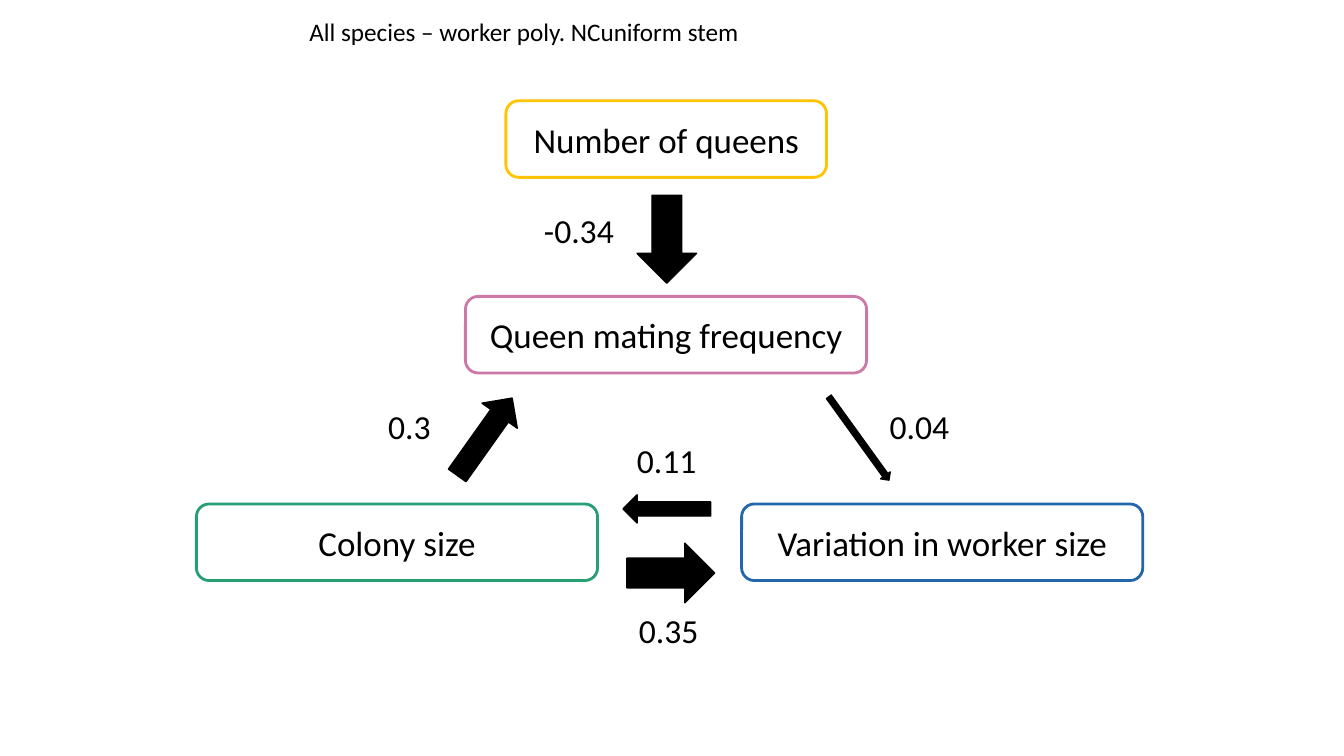
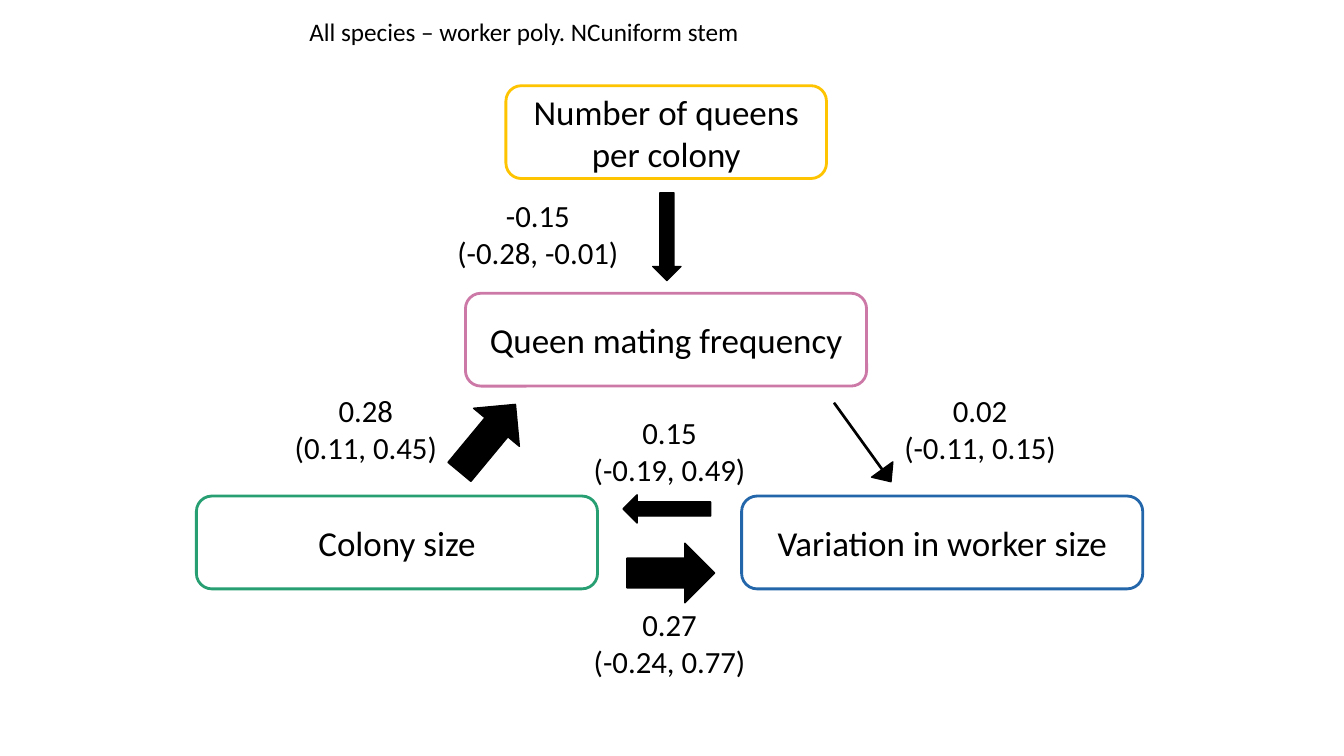
from pptx import Presentation
from pptx.dml.color import RGBColor
from pptx.enum.shapes import MSO_SHAPE
from pptx.enum.text import MSO_ANCHOR, PP_ALIGN
from pptx.util import Cm, Pt

BOX, ARROW = MSO_SHAPE.ROUNDED_RECTANGLE, MSO_SHAPE.RIGHT_ARROW
TOP, MIDDLE = MSO_ANCHOR.TOP, MSO_ANCHOR.MIDDLE
LEFT, CENTER = PP_ALIGN.LEFT, PP_ALIGN.CENTER

# Shared look
COLORS = {"black": "000000", "white": "FFFFFF", "queens": "FEC301",
          "mating": "CC79A7", "colony": "279F73", "worker": "2366A9"}
FONT = "Calibri"
TITLE = "All species – worker poly. NCuniform stem"

# Boxes: colour, row, left, width
BOXES = [("queens", 0, 12.75, 8.08), ("mating", 1, 11.73, 10.11),
         ("colony", 2, 4.95, 10.11), ("worker", 2, 18.69, 10.11)]
NAMES = {"queens": "Number of queens", "mating": "Queen mating frequency",
         "colony": "Colony size", "worker": "Variation in worker size"}

# Arrows between the two lower boxes: left, top, width, height, rotation, adjustments
LOWER_ARROWS = [(15.8, 13.69, 2.21, 1.5, 0, ()), (15.7, 12.47, 2.21, 0.71, 180, ())]

# Labels: text, left, top, width
SLIDES = [
    {"names": NAMES, "rows": (2.54, 7.47, 12.7), "box_height": 1.93,
     "size": 24, "align": LEFT, "label_height": 1.27,
     "labels": [("-0.34", 13.46, 5.16, 2.57), ("0.3", 9.53, 10.11, 2.18),
                ("0.04", 22.17, 10.11, 2.54), ("0.11", 15.8, 10.95, 2.57),
                ("0.35", 15.85, 15.24, 2.57)],
     "arrows": [(15.7, 5.28, 2.21, 1.5, 90, ()),
                (11.02, 10.46, 2.39, 1.09, 305.4, ()),
                (20.35, 10.9, 2.59, 0.3, 54.2, ())]},
    {"names": {**NAMES, "queens": "Number of queens per colony"},
     "rows": (2.16, 7.39, 12.5), "box_height": 2.34,
     "size": 22, "align": CENTER, "label_height": 2.13,
     "labels": [("-0.15\n(-0.28, -0.01)", 10.95, 4.83, 5.21),
                ("0.28\n(0.11, 0.45)", 7.01, 9.75, 4.42),
                ("0.02\n(-0.11, 0.15)", 22.12, 9.75, 5.16),
                ("0.15\n(-0.19, 0.49)", 14.27, 10.31, 5.21),
                ("0.27\n(-0.24, 0.77)", 14.27, 15.14, 5.21)],
     "arrows": [(15.7, 5.61, 2.21, 0.71, 90, ()),
                (11.18, 10.29, 2.21, 1.5, 309.7, ()),
                (20.52, 10.82, 2.44, 0.66, 54.2, (0.05, 0.573))]},
]


def write(sp, text, size, align, anchor):
    tf = sp.text_frame
    tf.text = text
    tf.word_wrap = True
    tf.vertical_anchor = anchor
    for p in tf.paragraphs:
        p.alignment = align
        for name, value in {"name": FONT, "size": Pt(size)}.items():
            setattr(p.font, name, value)
        p.font.color.rgb = RGBColor.from_string(COLORS["black"])


def add_shape(s, kind, place, fill, line, width):
    sp = s.shapes.add_shape(kind, *map(Cm, place))
    sp.shadow.inherit = False
    sp.fill.solid()
    sp.fill.fore_color.rgb = RGBColor.from_string(COLORS[fill])
    sp.line.color.rgb = RGBColor.from_string(COLORS[line])
    sp.line.width = Pt(width)
    return sp


prs = Presentation()
prs.slide_width, prs.slide_height = Cm(33.87), Cm(19.05)

for data in SLIDES:
    s = prs.slides.add_slide(prs.slide_layouts[5])

    # Title
    sp = s.shapes.title
    place = {"left": 7.54, "top": 0.28, "width": 22.5, "height": 1.02}
    for name, value in place.items():
        setattr(sp, name, Cm(value))
    write(sp, TITLE, 18, LEFT, TOP)

    # Boxes
    for key, row, left, width in BOXES:
        place = (left, data["rows"][row], width, data["box_height"])
        sp = add_shape(s, BOX, place, "white", key, 2)
        write(sp, data["names"][key], 25, CENTER, MIDDLE)

    # Path coefficients
    for text, *place in data["labels"]:
        sp = s.shapes.add_textbox(*map(Cm, (*place, data["label_height"])))
        write(sp, text, data["size"], data["align"], TOP)

    # Arrows
    for *place, rotation, adjustments in data["arrows"] + LOWER_ARROWS:
        sp = add_shape(s, ARROW, place, "black", "black", 1)
        sp.rotation = rotation
        for i, value in enumerate(adjustments):
            sp.adjustments[i] = value

prs.save("out.pptx")
